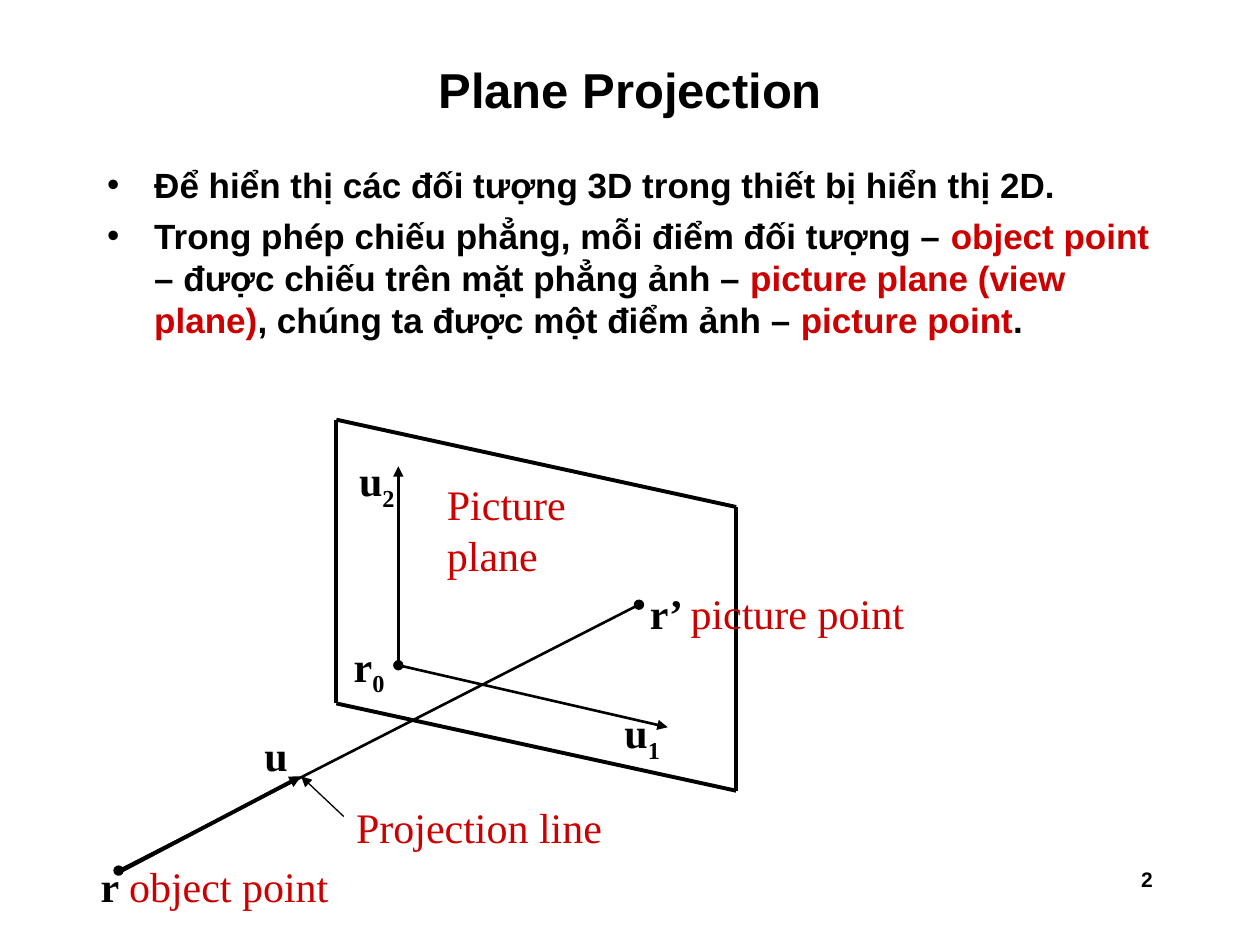
from lxml.etree import SubElement
from pptx import Presentation
from pptx.dml.color import RGBColor
from pptx.enum.shapes import MSO_CONNECTOR
from pptx.enum.text import MSO_ANCHOR, MSO_AUTO_SIZE, PP_ALIGN
from pptx.oxml.ns import qn
from pptx.util import Cm, Pt

BLACK, RED = "000000", "CC0000"


def write(paragraph, text, size=24, font="Times New Roman", color=BLACK,
          bold=False, baseline=0):
    """Add formatted text to a paragraph; a newline becomes a line break."""
    for index, line in enumerate(text.split("\n")):
        if index:
            paragraph.add_line_break()
        run = paragraph.add_run()
        run.text = line
        run.font.size = Pt(size)
        run.font.name = font
        run.font.bold = bold
        run.font.color.rgb = RGBColor.from_string(color)
        if baseline:
            run.font._element.set("baseline", str(baseline * 1000))


def add_line(start, end, width, head=None, tail=None):
    """Draw a black line with optional ends."""
    line = slide.shapes.add_connector(
        MSO_CONNECTOR.STRAIGHT, *(Cm(value) for value in start + end))
    line.line.width = Pt(width)
    line.line.color.rgb = RGBColor.from_string(BLACK)
    outline = line.line._get_or_add_ln()
    for tag, kind in (("a:headEnd", head), ("a:tailEnd", tail)):
        if kind:
            SubElement(outline, qn(tag), type=kind)
    SubElement(line._element.spPr, qn("a:effectLst"))


presentation = Presentation()
presentation.slide_width, presentation.slide_height = Cm(25.4), Cm(19.05)
slide = presentation.slides.add_slide(presentation.slide_layouts[5])

# Title
title = slide.shapes.title
title.left, title.top, title.width, title.height = Cm(1.91), Cm(0.84), Cm(21.59), Cm(1.91)
title.text_frame.auto_size = MSO_AUTO_SIZE.NONE
title.text_frame.vertical_anchor = MSO_ANCHOR.MIDDLE
paragraph = title.text_frame.paragraphs[0]
paragraph.alignment = PP_ALIGN.CENTER
write(paragraph, "Plane Projection", size=28, font="Arial", bold=True)

# Bulleted text
bullets = [
    [("Để hiển thị các đối tượng 3D trong thiết bị hiển thị 2D.", BLACK)],
    [("Trong phép chiếu phẳng, mỗi điểm đối tượng – ", BLACK),
     ("object point", RED),
     (" – được chiếu trên mặt phẳng ảnh – ", BLACK),
     ("picture plane (view plane)", RED),
     (", chúng ta được một điểm ảnh – ", BLACK),
     ("picture point", RED),
     (".", BLACK)],
]
body = slide.shapes.add_textbox(Cm(1.91), Cm(3.18), Cm(21.59), Cm(13.77)).text_frame
body.word_wrap = True
for index, parts in enumerate(bullets):
    paragraph = body.add_paragraph() if index else body.paragraphs[0]
    paragraph.space_before = Pt(5)
    properties = paragraph._p.get_or_add_pPr()
    properties.set("marL", str(Cm(0.95)))
    properties.set("indent", str(-Cm(0.95)))
    SubElement(properties, qn("a:buFont"), typeface="Arial")
    SubElement(properties, qn("a:buChar"), char="•")
    for text, color in parts:
        write(paragraph, text, size=20, font="Arial", color=color, bold=True)

# Picture plane: two upright sides and two slanted edges
left, right, left_top, right_top, plane_height = 6.78, 14.84, 8.46, 10.22, 5.72
for x, top in ((left, left_top), (right, right_top)):
    add_line((x, top), (x, top + plane_height), 2.25)
for drop in (0, plane_height):
    add_line((left, left_top + drop), (right, right_top + drop), 2.25)

# Plane axes, projection line, its direction vector and its pointer
plane_origin, object_point, picture_point = (8.03, 13.41), (2.39, 17.55), (12.88, 12.19)
vector_tip = (6.07, 15.65)
add_line(plane_origin, (8.03, 9.4), 1.5, head="oval", tail="triangle")
add_line(plane_origin, (13.46, 14.66), 1.5, tail="triangle")
add_line(object_point, picture_point, 1.5, head="oval", tail="oval")
add_line((6.93, 16.46), vector_tip, 0.75, tail="triangle")
add_line((2.36, 17.6), vector_tip, 2.25, tail="triangle")

# Diagram labels: left, top, width, height, symbol, subscript, red wording
labels = [
    (6.99, 9.04, 1.32, 1.42, "u", "2", ""),
    (12.34, 14.12, 1.91, 1.42, "u", "1", ""),
    (6.88, 12.78, 1.91, 1.42, "r", "0", ""),
    (1.78, 17.22, 7.34, 1.27, "r ", "", "object point"),
    (12.85, 11.71, 6.88, 1.27, "r’ ", "", "picture point"),
    (6.93, 16.03, 7.34, 1.27, "", "", "Projection line"),
    (8.76, 9.53, 3.58, 2.29, "", "", "Picture\nplane"),
    (5.08, 14.58, 1.32, 1.27, "u", "", ""),
]
for *box, symbol, subscript, wording in labels:
    frame = slide.shapes.add_textbox(*(Cm(value) for value in box)).text_frame
    frame.word_wrap = True
    frame.auto_size = MSO_AUTO_SIZE.SHAPE_TO_FIT_TEXT
    paragraph = frame.paragraphs[0]
    paragraph.space_before = Pt(15)
    if symbol:
        write(paragraph, symbol, bold=True)
    if subscript:
        write(paragraph, subscript, bold=True, baseline=-25)
    if wording:
        write(paragraph, wording, color=RED)

# Slide number
number = slide.shapes.add_textbox(Cm(18.21), Cm(17.35), Cm(5.28), Cm(1.27)).text_frame
number.word_wrap = True
paragraph = number.paragraphs[0]
paragraph.alignment = PP_ALIGN.RIGHT
write(paragraph, "2", size=12, font="Arial", bold=True)

presentation.save("out.pptx")
